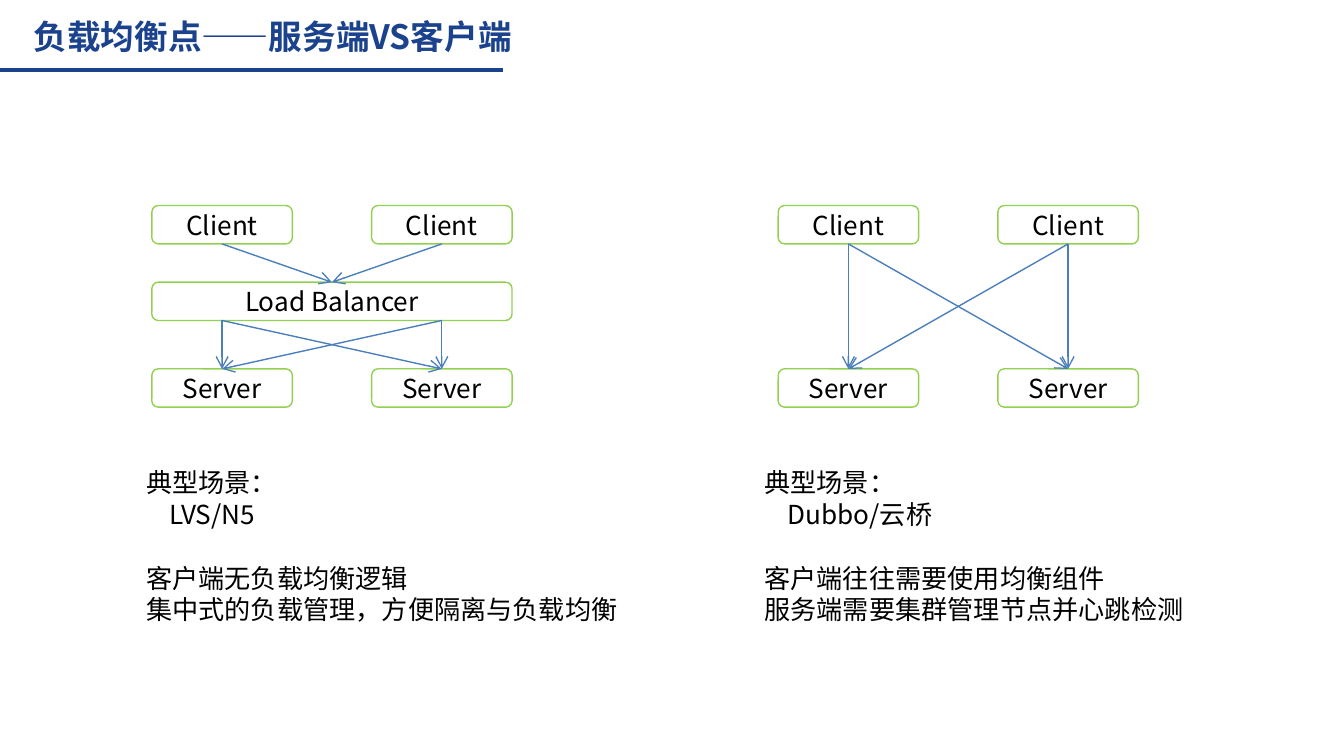
from itertools import product
from pptx import Presentation
from pptx.dml.color import RGBColor
from pptx.enum.shapes import MSO_CONNECTOR as Conn, MSO_SHAPE as Shape
from pptx.enum.text import MSO_ANCHOR as Anchor, PP_ALIGN as Align
from pptx.oxml.ns import qn
from pptx.util import Inches, Pt
from lxml.etree import SubElement

FONT = "Noto Sans CJK SC"
NAVY, BLUE, GREEN, WHITE, BLACK = "1B428C", "4B7EBC", "92D050", "FFFFFF", "000000"
WIDE = 10
HIGH = WIDE * 9 / 16
NODE_W, NODE_H = 0.39, 0.19  # node size as shares of its diagram
TOP, BOTTOM = 0, 2  # connection sites


def color(code):
    return RGBColor.from_string(code)


def place(box):
    return [Inches(v) for v in box]


def style(para, size, code, bold=False):
    for run in para.runs:
        font = run.font
        font.name, font.size, font.bold = FONT, Pt(size), bold
        font.color.rgb = color(code)
        SubElement(font._element, qn("a:ea")).set("typeface", FONT)


def add_line(slide, start, end, code, width, arrow=False):
    line = slide.shapes.add_connector(Conn.STRAIGHT, *place(start + end))
    line.line.color.rgb, line.line.width = color(code), Pt(width)
    if arrow:
        SubElement(line.line._get_or_add_ln(), qn("a:tailEnd")).set("type", "arrow")
    SubElement(line._element.spPr, qn("a:effectLst"))
    return line


def add_node(slide, box, text):
    node = slide.shapes.add_shape(Shape.ROUNDED_RECTANGLE, *place(box))
    node.shadow.inherit = False
    node.fill.solid()
    node.fill.fore_color.rgb = color(WHITE)
    node.line.color.rgb, node.line.width = color(GREEN), Pt(0.75)
    frame = node.text_frame
    frame.text, frame.vertical_anchor = text, Anchor.MIDDLE
    frame.paragraphs[0].alignment = Align.CENTER
    style(frame.paragraphs[0], 14, BLACK)
    return node


def join(slide, above, below):
    line = add_line(slide, (0, 0), (1, 1), BLUE, 0.75, True)
    line.begin_connect(above, BOTTOM)
    line.end_connect(below, TOP)


def add_title(slide, box, text):
    title = slide.shapes.title
    title.left, title.top, title.width, title.height = place(box)
    frame = title.text_frame
    frame.text, frame.vertical_anchor = text, Anchor.MIDDLE
    frame.margin_left = frame.margin_right = Inches(0.04)
    frame.margin_top = frame.margin_bottom = Inches(0.04)
    frame.paragraphs[0].alignment = Align.JUSTIFY
    style(frame.paragraphs[0], 18, NAVY, True)


def add_rule(slide, y, width):
    add_line(slide, (0, y), (width, y), NAVY, 2.25)


def add_diagram(slide, box, hub=None):
    left, top, width, height = box
    node_w, node_h = width * NODE_W, height * NODE_H
    cols = (left, left + width - node_w)

    def add_row(text, y):
        return [add_node(slide, (x, y, node_w, node_h), text) for x in cols]

    clients = add_row("Client", top)
    servers = add_row("Server", top + height - node_h)
    if not hub:
        for client, server in product(clients, servers):
            join(slide, client, server)
        return
    # The hub takes every client and feeds every server
    hub_y = top + height * 0.38
    middle = add_node(slide, (left, hub_y, width, node_h), hub)
    for client in clients:
        join(slide, client, middle)
    for x, server in product(cols, servers):
        start = (x + node_w / 2, hub_y + node_h)
        line = add_line(slide, start, start, BLUE, 0.75, True)
        line.end_connect(server, TOP)


def add_notes(slide, box, case, points):
    frame = slide.shapes.add_textbox(*place(box)).text_frame
    frame.word_wrap = False
    frame.text = "\n".join(["典型场景：", case, *points])
    paras = frame.paragraphs
    for para in paras:
        para.line_spacing = Pt(17)
        style(para, 14, BLACK)
    paras[1]._p.get_or_add_pPr().set("marL", str(Inches(0.17)))
    paras[2].space_before = Pt(17)


def main():
    deck = Presentation()
    deck.slide_width, deck.slide_height = Inches(WIDE), Inches(HIGH)
    slide = deck.slides.add_slide(deck.slide_layouts[5])
    add_title(slide, (0.21, 0.07, 4.78, 0.39), "负载均衡点——服务端VS客户端")
    add_rule(slide, 0.52, 3.74)

    # Server-side balancing on the left, client-side on the right
    sides = [
        (1.13, "Load Balancer", 0.99, 3.74, "LVS/N5",
         ["客户端无负载均衡逻辑", "集中式的负载管理，方便隔离与负载均衡"]),
        (5.79, None, 5.59, 3.34, "Dubbo/云桥",
         ["客户端往往需要使用均衡组件", "服务端需要集群管理节点并心跳检测"]),
    ]
    for left, hub, note_x, note_w, case, points in sides:
        add_diagram(slide, (left, 1.53, 2.68, 1.5), hub)
        add_notes(slide, (note_x, 3.42, note_w, 1.28), case, points)
    deck.save("out.pptx")


if __name__ == "__main__":
    main()
